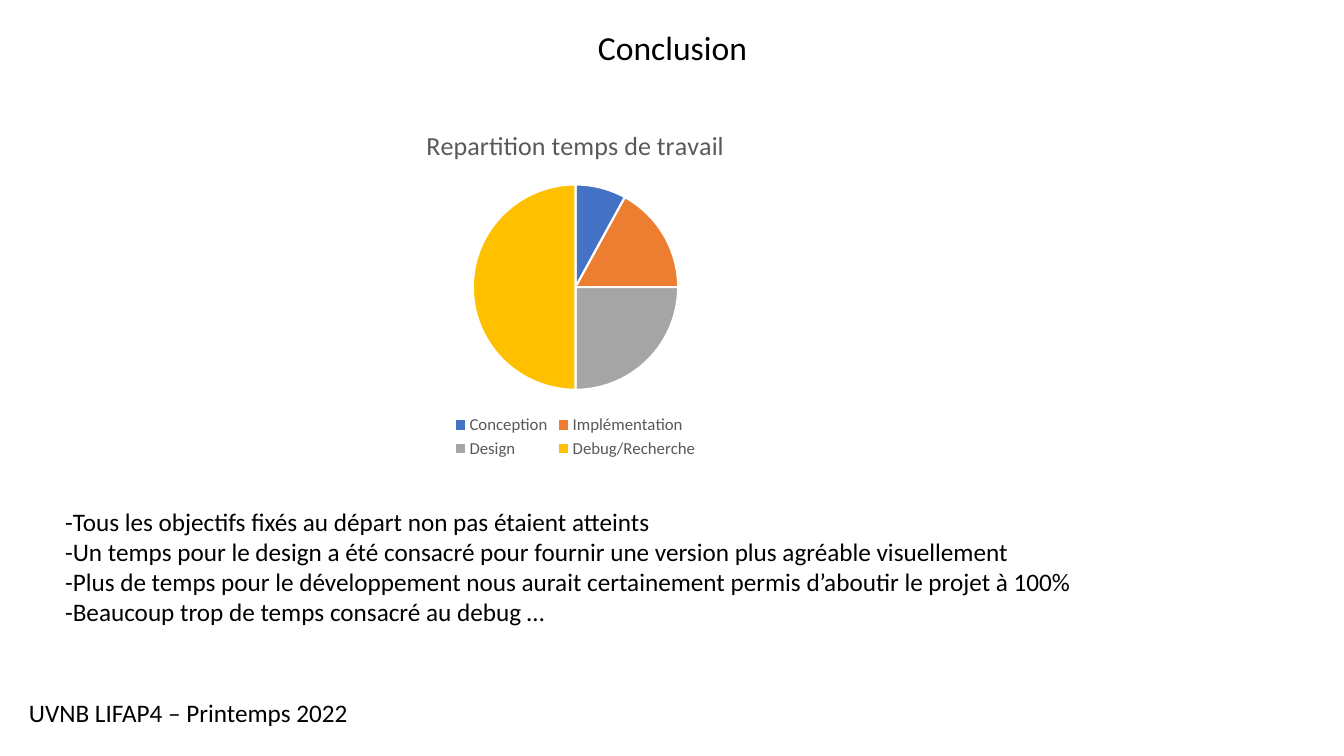
from lxml.etree import SubElement
from pptx import Presentation
from pptx.chart.data import CategoryChartData
from pptx.dml.color import RGBColor
from pptx.enum.chart import XL_CHART_TYPE as ChartType, XL_LEGEND_POSITION as LegendPosition
from pptx.enum.text import MSO_ANCHOR as Anchor, MSO_AUTO_SIZE as AutoSize, PP_ALIGN as Align
from pptx.oxml.ns import qn
from pptx.util import Emu, Pt

COLORS = {"text": "000000", "muted": "595959", "separator": "FFFFFF"}
WORK_SHARES = {
    "Conception": (8, "4472C4"),
    "Implémentation": (17, "ED7D31"),
    "Design": (25, "A5A5A5"),
    "Debug/Recherche": (50, "FFC000"),
}
CONCLUSIONS = [
    "-Tous les objectifs fixés au départ non pas étaient atteints",
    "-Un temps pour le design a été consacré pour fournir une version plus agréable visuellement",
    "-Plus de temps pour le développement nous aurait certainement permis d’aboutir le projet à 100%",
    "-Beaucoup trop de temps consacré au debug …",
]


class SlideBuilder:
    """Adds styled elements to one slide, with lengths in px."""

    font_name = "Calibri"
    px = 914400 / 100.8

    def __init__(self, presentation):
        presentation.slide_width = self.length(1344)
        presentation.slide_height = self.length(756)
        self.slide = presentation.slides.add_slide(presentation.slide_layouts[1])

    def length(self, pixels):
        return Emu(round(pixels * self.px))

    def style_font(self, font, size, color="text"):
        for name, value in {"name": self.font_name, "size": Pt(size), "bold": False}.items():
            setattr(font, name, value)
        font.color.rgb = RGBColor.from_string(COLORS[color])

    def fill_text(self, shape, box, lines, size, align=Align.LEFT):
        for name, value in zip(("left", "top", "width", "height"), box):
            setattr(shape, name, self.length(value))
        frame = shape.text_frame
        frame_format = {
            "word_wrap": True,
            "auto_size": AutoSize.NONE,
            "vertical_anchor": Anchor.TOP,
            "text": "\n".join(lines),
        }
        for name, value in frame_format.items():
            setattr(frame, name, value)
        for paragraph in frame.paragraphs:
            for name, value in {"alignment": align, "space_before": Pt(0)}.items():
                setattr(paragraph, name, value)
            for run in paragraph.runs:
                self.style_font(run.font, size)
        return frame

    def title(self, box, text, size):
        self.fill_text(self.slide.shapes.title, box, [text], size, Align.CENTER)

    def body(self, box, lines, size):
        frame = self.fill_text(self.slide.placeholders[1], box, lines, size)
        for paragraph in frame.paragraphs:
            properties = paragraph._p.get_or_add_pPr()
            for name in ("marL", "indent"):
                properties.set(name, "0")
            SubElement(properties, qn("a:buNone"))

    def text(self, box, text, size):
        shape = self.slide.shapes.add_textbox(0, 0, 0, 0)
        self.fill_text(shape, box, [text], size)

    def pie(self, box, title, shares):
        data = CategoryChartData()
        data.categories = list(shares)
        data.add_series(title, [value for value, color in shares.values()])
        frame = self.slide.shapes.add_chart(ChartType.PIE, *map(self.length, box), data)
        chart = frame.chart
        self.style_font(chart.font, 10)

        chart.has_title = True
        chart.chart_title.include_in_layout = False
        chart.chart_title.text_frame.text = title
        title_run = chart.chart_title.text_frame.paragraphs[0].runs[0]
        self.style_font(title_run.font, 18.6, "muted")

        chart.has_legend = True
        for name, value in {"position": LegendPosition.BOTTOM, "include_in_layout": False}.items():
            setattr(chart.legend, name, value)
        self.style_font(chart.legend.font, 12, "muted")

        plot = chart.plots[0]
        plot.vary_by_categories = True
        for index, (value, color) in enumerate(shares.values()):
            slice_format = plot.series[0].points[index].format
            slice_format.fill.solid()
            slice_format.fill.fore_color.rgb = RGBColor.from_string(color)
            slice_format.line.color.rgb = RGBColor.from_string(COLORS["separator"])
            slice_format.line.width = Pt(1.5)


def main():
    presentation = Presentation()
    builder = SlideBuilder(presentation)
    builder.title((60, 22, 1225, 50), "Conclusion", 24)
    builder.body((55, 501, 1093, 132), CONCLUSIONS, 18)
    builder.text((19, 692, 522, 40), "UVNB LIFAP4 – Printemps 2022", 18)
    builder.pie((346, 110, 459, 353), "Repartition temps de travail", WORK_SHARES)
    presentation.save("out.pptx")


if __name__ == "__main__":
    main()
